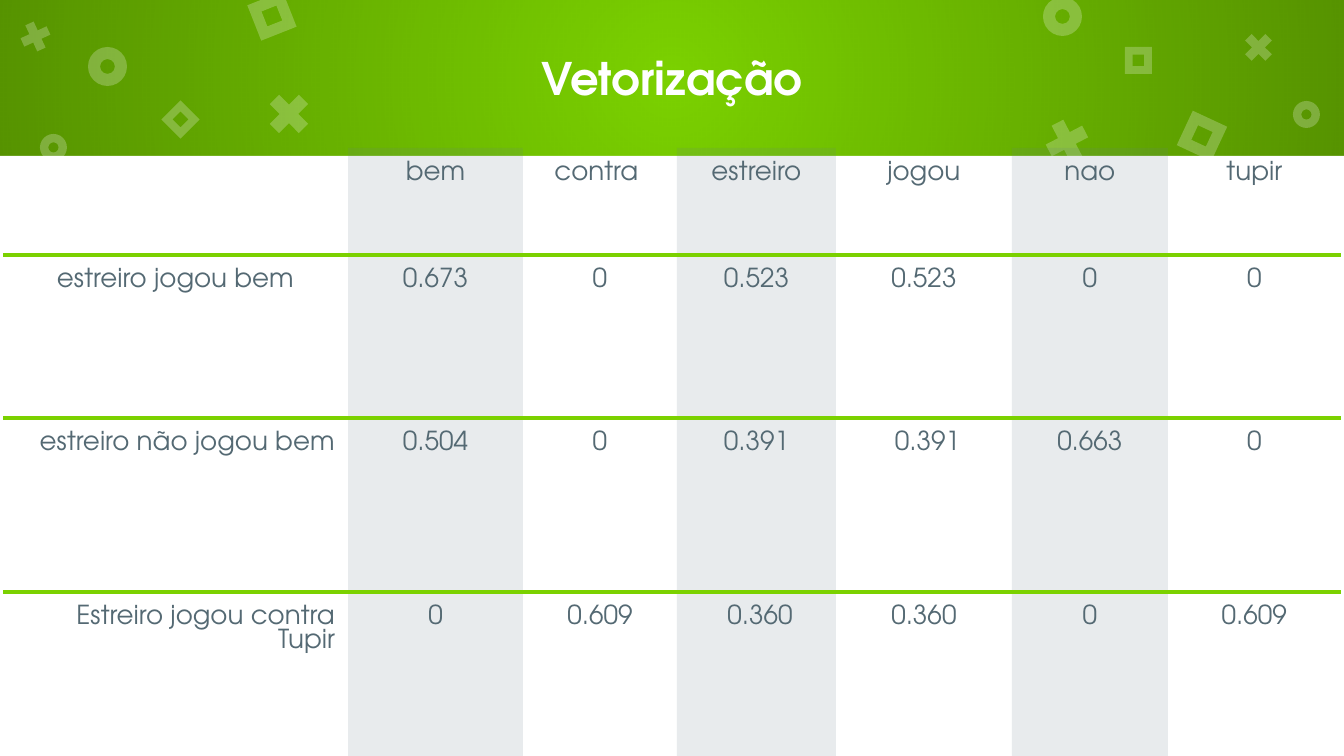
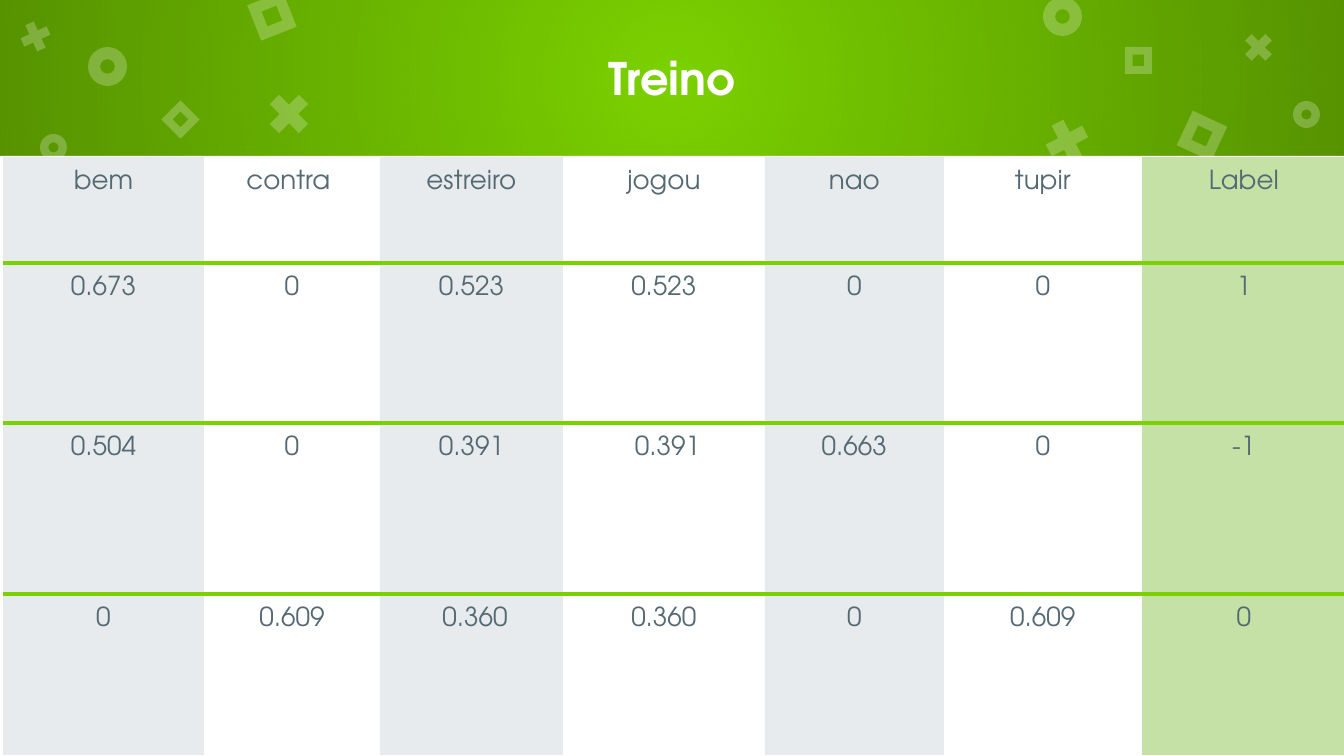
from lxml.etree import SubElement
from pptx import Presentation
from pptx.dml.color import RGBColor
from pptx.enum.shapes import MSO_SHAPE
from pptx.enum.text import MSO_ANCHOR, PP_ALIGN
from pptx.oxml import parse_xml
from pptx.oxml.ns import nsdecls, qn
from pptx.util import Pt

PX = 914400 / 134.4
WIDTH, HEIGHT, BAND = 1344, 756, 156
MARGIN = 13
FONT = "TeX Gyre Adventor"
NO_GRID = "{2D5ABB26-0587-4C30-8999-92F81FD0307C}"
COLORS = {
    "green": "7BD100",
    "white": "FFFFFF",
    "black": "000000",
    "text": "546973",
    "stripe": "667F8C",
    "label": "C5E1A5",
}


def write(tf, text, size=14, color="text", bold=False, align=PP_ALIGN.CENTER):
    p = tf.paragraphs[0]
    p.alignment = align
    r = p.add_run()
    r.text = text
    r.font.name = FONT
    r.font.size = Pt(size)
    r.font.bold = bold
    r.font.color.rgb = RGBColor.from_string(COLORS[color])


def paint(fill, props, color, alpha=100):
    """Fill solidly; props is the XML element that holds the fill."""
    fill.solid()
    fill.fore_color.rgb = RGBColor.from_string(COLORS[color])
    if alpha < 100:
        clr = props.find(qn("a:solidFill"))[0]
        SubElement(clr, qn("a:alpha")).set("val", str(alpha * 1000))


prs = Presentation()
prs.slide_width, prs.slide_height = round(WIDTH * PX), round(HEIGHT * PX)
layout = prs.slide_layouts[5]
layout.background.fill.solid()
layout.background.fill.fore_color.rgb = RGBColor.from_string(COLORS["green"])
for ph in list(layout.placeholders)[1:]:
    ph.element.getparent().remove(ph.element)

# Table data: title, top, column widths, row heights, cells
tables = [
    ("Vetorização", 148, [345, 175, 154, 159, 176, 156, 173], [107, 163, 174, 164], [
        ["", "bem", "contra ", "estreiro", "jogou", "nao", "tupir"],
        ["estreiro jogou bem", "0.673", "0", "0.523", "0.523", "0", "0"],
        ["estreiro não jogou bem", "0.504", "0", "0.391", " 0.391", "0.663", "0"],
        ["Estreiro jogou contra Tupir", "0", "0.609", " 0.360", "0.360", "0", "0.609"],
    ]),
    ("Treino", 157, [201, 176, 183, 202, 179, 198, 204], [106, 160, 171, 161], [
        ["bem", "contra ", "estreiro", "jogou", "nao", "tupir", "Label"],
        ["0.673", "0", "0.523", "0.523", "0", "0", "1"],
        ["0.504", "0", "0.391", " 0.391", "0.663", "0", "-1"],
        ["0", "0.609", " 0.360", "0.360", "0", "0.609", "0"],
    ]),
]
slides = [prs.slides.add_slide(layout) for _ in tables]

# Band, white body and ornaments, shared through the layout
RECT, DONUT = MSO_SHAPE.RECTANGLE, MSO_SHAPE.DONUT
CROSS, FRAME = MSO_SHAPE.MATH_MULTIPLY, MSO_SHAPE.FRAME
ADJUST = {DONUT: 0.31, CROSS: 0.235, FRAME: 0.289}
decor = [
    (RECT, 0, 0, WIDTH, BAND, 0),
    (RECT, 0, BAND, WIDTH, HEIGHT - BAND, 0),
] + [(kind, x, y, size, size, turn) for kind, x, y, size, turn in [
    (DONUT, 88, 47, 39, 0),
    (CROSS, 261, 86, 56, 0),
    (FRAME, 253, -3, 38, 338.4),
    (DONUT, 1043, -3, 39, 0),
    (CROSS, 1039, 113, 56, 17.5),
    (FRAME, 1183, 117, 38, 25),
    (DONUT, 40, 134, 27, 0),
    (CROSS, 16, 17, 39, 20.4),
    (FRAME, 167, 106, 27, 45),
    (DONUT, 1293, 101, 27, 0),
    (CROSS, 1239, 28, 39, 0),
    (FRAME, 1125, 47, 27, 0),
]]
shapes = []
for kind, x, y, w, h, turn in decor:
    sp = slides[0].shapes.add_shape(kind, *(round(v * PX) for v in (x, y, w, h)))
    sp.shadow.inherit = False
    sp.line.fill.background()
    sp.rotation = turn
    if kind in ADJUST:
        sp.adjustments[0] = ADJUST[kind]
    paint(sp.fill, sp.element.spPr, "white", 24 if kind in ADJUST else 100)
    shapes.append(sp)

band_props = shapes[0].element.spPr
band_props.replace(band_props.find(qn("a:solidFill")), parse_xml(
    f'<a:gradFill {nsdecls("a")} rotWithShape="1"><a:gsLst>'
    f'<a:gs pos="0"><a:srgbClr val="{COLORS["black"]}"><a:alpha val="0"/></a:srgbClr></a:gs>'
    f'<a:gs pos="100000"><a:srgbClr val="{COLORS["black"]}"><a:alpha val="30000"/></a:srgbClr></a:gs>'
    '</a:gsLst><a:path path="circle"><a:fillToRect l="50000" t="50000" r="50000" b="50000"/>'
    '</a:path></a:gradFill>'))
for sp in shapes:
    layout.shapes.element.append(sp.element)

for s, (title, top, widths, heights, rows) in zip(slides, tables):
    sp = s.shapes.title
    sp.left, sp.top, sp.width, sp.height = (round(v * PX) for v in (67, 0, 1210, BAND))
    sp.text_frame.vertical_anchor = MSO_ANCHOR.MIDDLE
    write(sp.text_frame, title, size=24, color="white", bold=True)

    frame = s.shapes.add_table(
        len(heights), len(widths), round(3 * PX), round(top * PX),
        round(sum(widths) * PX), round(sum(heights) * PX))
    table = frame.table
    table.first_row = table.horz_banding = False
    table._tbl.tblPr.find(qn("a:tableStyleId")).text = NO_GRID
    for col, width in zip(table.columns, widths):
        col.width = round(width * PX)
    for row, height in zip(table.rows, heights):
        row.height = round(height * PX)

    first_stripe = rows[0].index("bem")
    for i, row in enumerate(rows):
        for j, text in enumerate(row):
            cell = table.cell(i, j)
            cell.margin_left = cell.margin_right = round(MARGIN * PX)
            cell.margin_top = cell.margin_bottom = round(MARGIN * PX)
            right = j < first_stripe and i > 1
            write(cell.text_frame, text, align=PP_ALIGN.RIGHT if right else PP_ALIGN.CENTER)

            props = cell._tc.get_or_add_tcPr()
            for side, inner in (("lnT", i > 0), ("lnB", i < len(rows) - 1)):
                if inner:
                    props.append(parse_xml(
                        f'<a:{side} {nsdecls("a")} w="{Pt(2.25)}"><a:solidFill>'
                        f'<a:srgbClr val="{COLORS["green"]}"/></a:solidFill></a:{side}>'))
            if rows[0][j] == "Label":
                paint(cell.fill, props, "label")
            elif j >= first_stripe and (j - first_stripe) % 2 == 0:
                paint(cell.fill, props, "stripe", 15)
            else:
                cell.fill.background()

prs.save("out.pptx")
